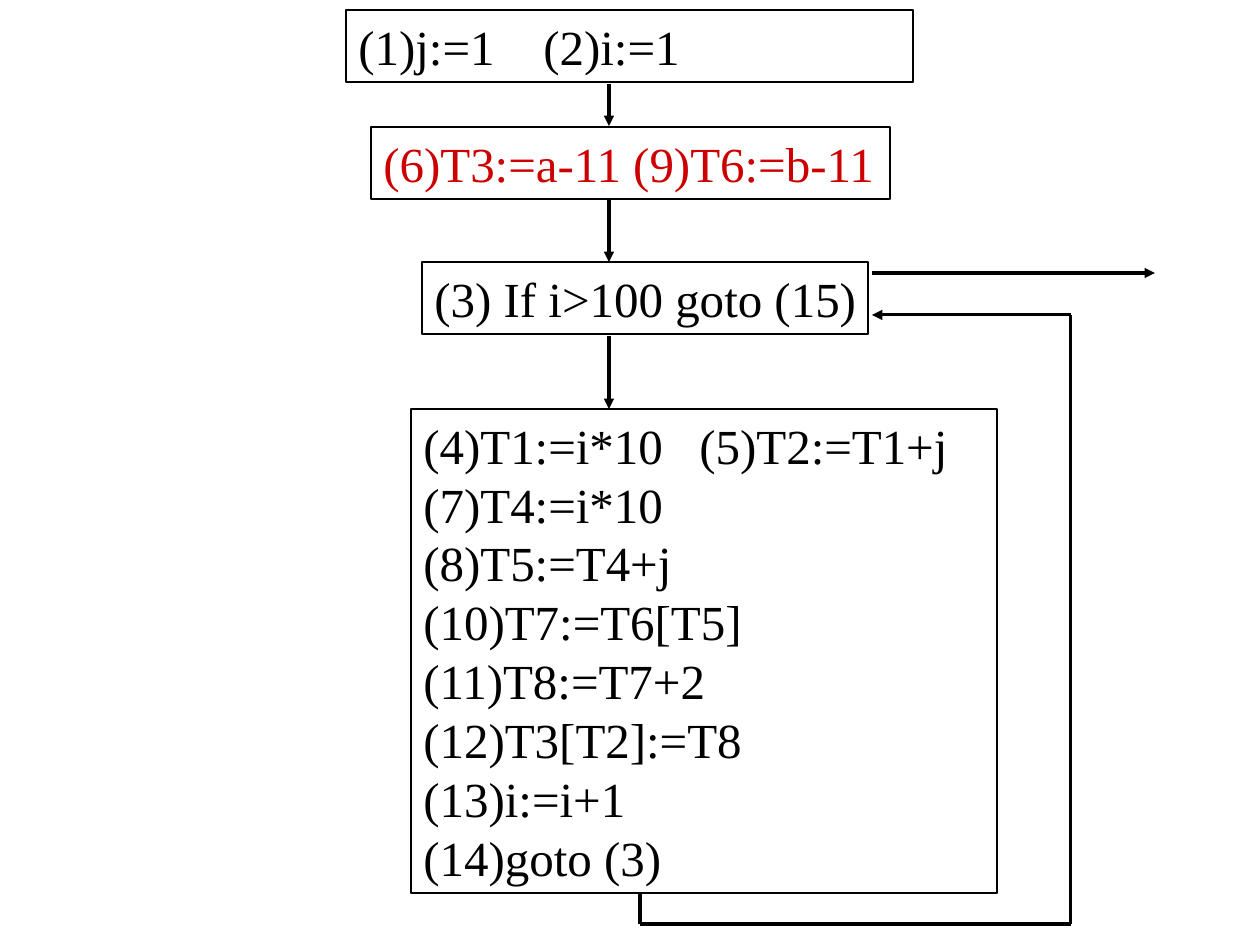
from itertools import pairwise

from lxml.etree import SubElement
from pptx import Presentation
from pptx.dml.color import RGBColor
from pptx.enum.shapes import MSO_CONNECTOR
from pptx.oxml.ns import qn
from pptx.util import Pt

SCALE = 914400 // 126
FONT = "Times New Roman"
BLACK = "000000"
RED = "CC0000"


def px(n):
    return n * SCALE


def paint(color, tone):
    color.rgb = RGBColor.from_string(tone)


def add_tab(para, stop):
    tabs = SubElement(para._p.get_or_add_pPr(), qn("a:tabLst"))
    SubElement(tabs, qn("a:tab"), pos=str(px(stop)), algn="l")


def add_box(slide, area, lines, width, tone=BLACK, stop=None):
    box = slide.shapes.add_textbox(*map(px, area))
    paint(box.line.color, BLACK)
    box.line.width = Pt(width)
    frame = box.text_frame
    frame.word_wrap = True
    frame.margin_right = 0
    for i, line in enumerate(lines):
        para = frame.add_paragraph() if i else frame.paragraphs[0]
        if "\t" in line:
            add_tab(para, stop)
        para.add_run().text = line
        para.font.name = FONT
        para.font.size = Pt(28)
        paint(para.font.color, tone)


def add_line(slide, start, end, arrow=True):
    line = slide.shapes.add_connector(
        MSO_CONNECTOR.STRAIGHT, *map(px, start + end))
    paint(line.line.color, BLACK)
    line.line.width = Pt(1.75)
    if arrow:
        SubElement(line.line._get_or_add_ln(), qn("a:tailEnd"), type="triangle")
    SubElement(line._element.spPr, qn("a:effectLst"))


def add_route(slide, points):
    for start, end in pairwise(points):
        add_line(slide, start, end, arrow=end == points[-1])


def main():
    deck = Presentation()
    deck.slide_width, deck.slide_height = px(1260), px(945)
    slide = deck.slides.add_slide(deck.slide_layouts[6])

    add_box(slide, (346, 10, 567, 72), ["(1)j:=1\t(2)i:=1"], 1.25, stop=185)
    add_box(slide, (371, 127, 519, 72), ["(6)T3:=a-11 (9)T6:=b-11"], 0.75, RED)
    add_box(slide, (422, 262, 446, 72), ["(3) If i>100 goto (15)"], 1.25)
    body = [
        "(4)T1:=i*10\t(5)T2:=T1+j",
        "(7)T4:=i*10",
        "(8)T5:=T4+j",
        "(10)T7:=T6[T5]",
        "(11)T8:=T7+2",
        "(12)T3[T2]:=T8",
        "(13)i:=i+1",
        "(14)goto (3)",
    ]
    add_box(slide, (411, 409, 586, 484), body, 0.75, stop=276)

    for top, end in ((84, 126), (199, 262), (336, 409)):
        add_line(slide, (609, top), (609, end))
    add_line(slide, (872, 273), (1155, 273))
    add_route(slide, [(640, 892), (640, 924), (1071, 924), (1071, 315), (872, 315)])

    deck.save("out.pptx")


if __name__ == "__main__":
    main()
